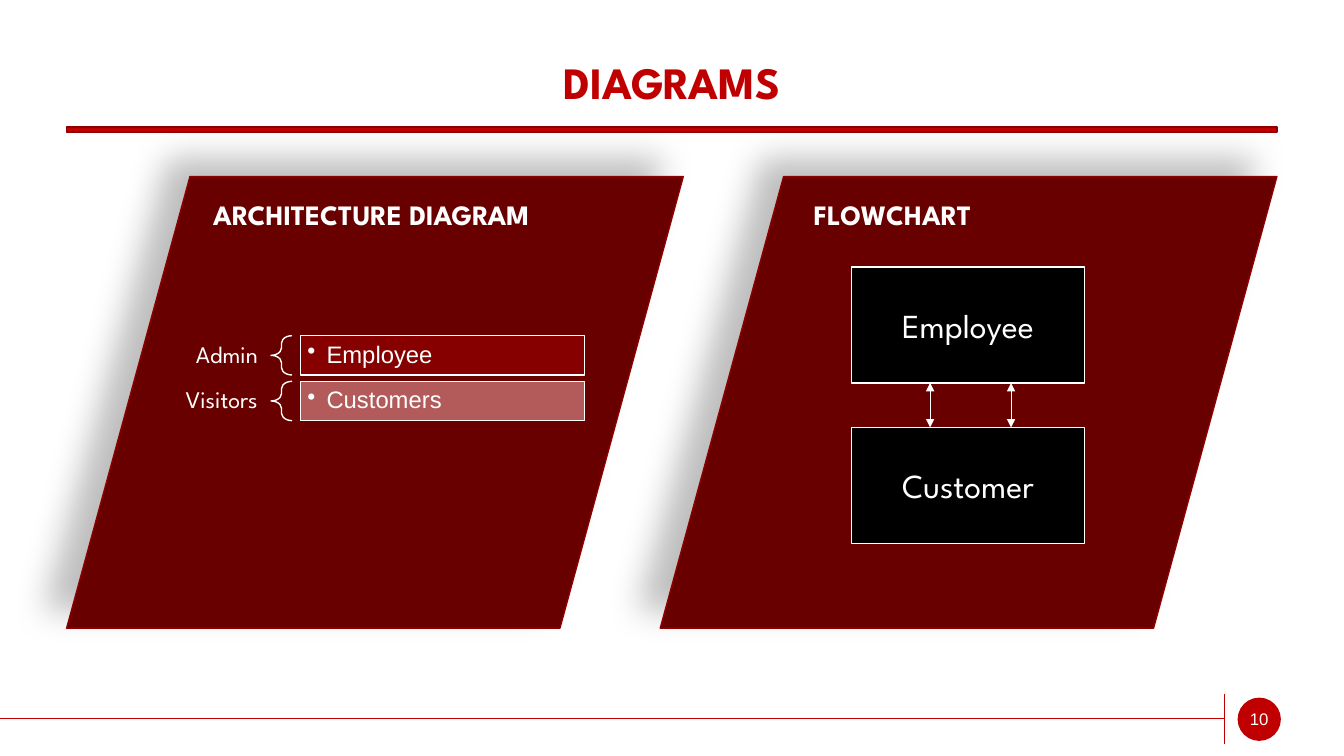
from lxml.etree import SubElement
from pptx import Presentation
from pptx.dml.color import RGBColor
from pptx.enum.shapes import MSO_CONNECTOR, MSO_SHAPE
from pptx.enum.text import MSO_ANCHOR, PP_ALIGN
from pptx.oxml.ns import qn
from pptx.util import Cm, Pt

RED = RGBColor(0xC0, 0x00, 0x00)
DARK_RED = RGBColor(0x68, 0x00, 0x00)
EDGE_RED = RGBColor(0x8E, 0x00, 0x00)
BAR_RED = RGBColor(0x8A, 0x00, 0x00)
BAR_PINK = RGBColor(0xFF, 0xB5, 0xB5)
WHITE = RGBColor(0xFF, 0xFF, 0xFF)
BLACK = RGBColor(0x00, 0x00, 0x00)
HEADING_FONT = "League Spartan"
BODY_FONT = "Arial"


def write_text(shape, text, size=17, font=HEADING_FONT, color=WHITE, bold=False,
               align=PP_ALIGN.CENTER, anchor=MSO_ANCHOR.MIDDLE, spacing=None,
               insets=(0.25, 0.13)):
    """Put one formatted paragraph in a shape and return it."""
    frame = shape.text_frame
    frame.word_wrap = True
    frame.vertical_anchor = anchor
    frame.margin_left = frame.margin_right = Cm(insets[0])
    frame.margin_top = frame.margin_bottom = Cm(insets[1])
    paragraph = frame.paragraphs[0]
    paragraph.alignment = align
    paragraph.line_spacing = spacing
    run = paragraph.add_run()
    run.text = text
    run.font.size = Pt(size)
    run.font.name = font
    run.font.bold = bold
    run.font.color.rgb = color
    return paragraph


def add_text(slide, box, text, **text_format):
    """Add a text box with one formatted paragraph."""
    shape = slide.shapes.add_textbox(*map(Cm, box))
    write_text(shape, text, **text_format)


def add_block(slide, kind, box, fill=None, line=None, opacity=None):
    """Add a preset shape with plain fill and outline."""
    shape = slide.shapes.add_shape(kind, *map(Cm, box))
    shape.shadow.inherit = False
    if fill is None:
        shape.fill.background()
    else:
        shape.fill.solid()
        shape.fill.fore_color.rgb = fill
    if line is None:
        shape.line.fill.background()
    else:
        shape.line.color.rgb = line
        shape.line.width = Pt(1)
    if opacity is not None:
        color = shape._element.spPr.find(qn("a:solidFill"))[0]
        SubElement(color, qn("a:alpha"), val=str(opacity * 1000))
    return shape


def add_line(slide, start, end, color, arrows=False):
    """Add a thin straight line, optionally with arrowheads at both ends."""
    connector = slide.shapes.add_connector(
        MSO_CONNECTOR.STRAIGHT, *map(Cm, start + end))
    connector.line.color.rgb = color
    connector.line.width = Pt(0.5)
    if arrows:
        for end_tag in ("a:headEnd", "a:tailEnd"):
            SubElement(connector.line._get_or_add_ln(), qn(end_tag), type="triangle")
    SubElement(connector._element.spPr, qn("a:effectLst"))


def add_panel(slide, left, heading_left, heading):
    """Add a slanted panel with a soft shadow and its heading."""
    panel = add_block(slide, MSO_SHAPE.FLOWCHART_DATA, (left, 4.45, 15.54, 11.38),
                      DARK_RED, EDGE_RED)
    effects = panel._element.spPr.find(qn("a:effectLst"))
    shadow = SubElement(effects, qn("a:outerShdw"), blurRad=str(Pt(24)),
                        dist=str(Pt(20)), dir=str(220 * 60000), rotWithShape="0")
    color = SubElement(shadow, qn("a:srgbClr"), val=str(BLACK))
    SubElement(color, qn("a:alpha"), val="26000")
    add_text(slide, (heading_left, 4.85, 10.54, 1.12), heading, size=20, bold=True,
             anchor=MSO_ANCHOR.TOP)


def add_role(slide, top, role, member, fill, opacity):
    """Add a role name, its brace and the bulleted bar beside it."""
    height = 0.99
    add_text(slide, (4.19, top, 2.64, height), role, align=PP_ALIGN.RIGHT,
             spacing=0.9, insets=(0.33, 0.13))
    brace = add_block(slide, MSO_SHAPE.LEFT_BRACE, (6.83, top, 0.53, height), line=WHITE)
    brace.adjustments[0] = 0.35
    bar = add_block(slide, MSO_SHAPE.RECTANGLE, (7.57, top, 7.16, height),
                    fill, WHITE, opacity)
    paragraph = write_text(bar, member, font=BODY_FONT, align=PP_ALIGN.LEFT,
                           spacing=0.9, insets=(0.18, 0.18))
    properties = paragraph._p.get_or_add_pPr()
    properties.set("marL", str(Cm(0.48)))
    properties.set("indent", str(-Cm(0.48)))
    SubElement(properties, qn("a:buChar"), char="•")


def add_flowchart(slide):
    """Add the two entities and the two-way links between them."""
    top, height, pitch = 6.73, 2.92, 4.04
    for index, entity in enumerate(("Employee", "Customer")):
        box = add_block(slide, MSO_SHAPE.RECTANGLE,
                        (21.46, top + index * pitch, 5.87, height), BLACK, WHITE)
        write_text(box, entity, size=24)
    for x in (23.44, 25.48):
        add_line(slide, (x, top + height), (x, top + pitch), WHITE, arrows=True)


def add_footer(slide, number):
    """Add the footer lines and the page number badge."""
    add_line(slide, (30.86, 17.48), (30.86, 18.75), RED)
    add_line(slide, (0, 18.11), (30.86, 18.11), RED)
    badge = add_block(slide, MSO_SHAPE.OVAL, (31.19, 17.58, 1.09, 1.09), RED)
    write_text(badge, number, size=12, font=BODY_FONT, insets=(0, 0))


def main():
    """Build the diagrams slide and save it."""
    presentation = Presentation()
    presentation.slide_width = Cm(33.87)
    presentation.slide_height = Cm(19.05)
    slide = presentation.slides.add_slide(presentation.slide_layouts[6])

    add_footer(slide, "10")
    add_text(slide, (1.68, 1.09, 30.5, 1.78), "DIAGRAMS", size=32, color=RED,
             bold=True, anchor=MSO_ANCHOR.BOTTOM, spacing=0.9)
    add_block(slide, MSO_SHAPE.RECTANGLE, (1.68, 3.2, 30.5, 0.13), RED, EDGE_RED)
    add_panel(slide, 1.68, 4.09, "ARCHITECTURE DIAGRAM")
    add_panel(slide, 16.64, 17.22, "FLOWCHART")
    add_role(slide, 8.46, "Admin", "Employee", BAR_RED, 90)
    add_role(slide, 9.61, "Visitors", "Customers", BAR_PINK, 50)
    add_flowchart(slide)
    presentation.save("out.pptx")


if __name__ == "__main__":
    main()
